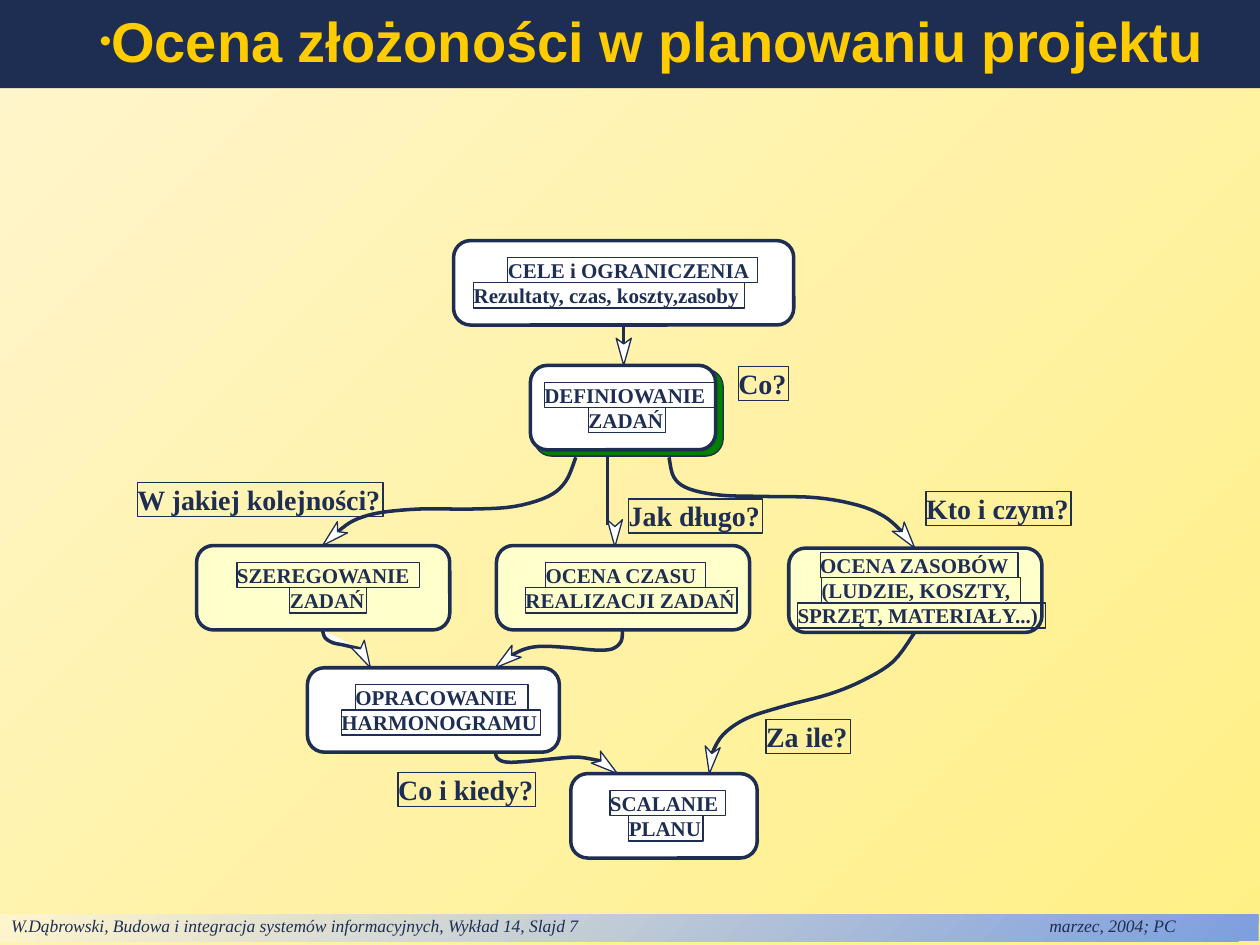
from dataclasses import dataclass
from math import hypot

from lxml import etree
from pptx import Presentation
from pptx import util as u
from pptx.dml.color import RGBColor
from pptx.enum import shapes, text
from pptx.oxml.ns import qn


@dataclass(frozen=True)
class Theme:
    navy: str = "1E2E53"
    gold: str = "FFCC00"
    white: str = "FFFFFF"
    cream: str = "FFFFCC"
    green: str = "007F00"
    background: tuple = ("FFF085", "FFF5CD")
    footer: tuple = ("7D9EDF", "FFF5CD")
    sans: str = "Arial"
    serif: str = "Times New Roman"
    title_size: int = 32
    question_size: int = 16
    step_size: int = 12
    footer_size: int = 10
    thick: float = 2
    thin: float = 0.75


THEME = Theme()

# The slide is a grid of 100 columns by 75 rows of square cells
COLUMNS, ROWS = 100, 75
CELL = u.Inches(0.1)
BOX_HEIGHT, LINE_HEIGHT, QUESTION_HEIGHT = 6.7, 2, 2.7
LABEL_SLACK = 0.2  # keeps each label on one line

# Steps: left, top, width, fill, lines of (text, left, width)
STEPS = [
    (36, 19.1, 27, THEME.white, [("CELE i OGRANICZENIA", 40.3, 19.6),
                                 ("Rezultaty, czas, koszty,zasoby", 37.6, 21.3)]),
    (42.1, 29, 14.7, THEME.white, [("DEFINIOWANIE", 43.2, 13.4), ("ZADAŃ", 46.7, 5.9)]),
    (15.6, 43.3, 20.1, THEME.cream, [("SZEREGOWANIE", 18.8, 14.3), ("ZADAŃ", 23, 5.9)]),
    (39.4, 43.3, 20.1, THEME.cream, [("OCENA CZASU", 43.3, 12.5),
                                     ("REALIZACJI ZADAŃ", 41.7, 16.6)]),
    (62.6, 43.5, 20.1, THEME.cream, [("OCENA ZASOBÓW", 65.1, 15.5),
                                     ("(LUDZIE, KOSZTY,", 65.2, 15.6),
                                     ("SPRZĘT, MATERIAŁY...)", 63.3, 19.5)]),
    (24.4, 53, 20, THEME.white, [("OPRACOWANIE", 28.2, 13.5), ("HARMONOGRAMU", 27.1, 15.6)]),
    (45.3, 61.4, 14.8, THEME.white, [("SCALANIE", 48.4, 9), ("PLANU", 49.9, 5.7)]),
]

# Questions: text, left, top, width
QUESTIONS = [
    ("Co?", 58.6, 29.1, 3.8),
    ("Jak długo?", 49.9, 39.6, 10.4),
    ("Kto i czym?", 73.5, 39, 11.3),
    ("Za ile?", 60.8, 57.1, 6.5),
    ("Co i kiedy?", 31.6, 61.3, 10.7),
    ("W jakiej kolejności?", 10.9, 38.3, 19.3),
]

# Curved flows: points on the curve, tip of the arrowhead, fill
FLOWS = [
    ([(49.4, 50), (49.3, 50.9), (48.6, 51.5), (47.3, 51.6), (45.1, 51.4), (43, 51.3),
      (41.7, 51.5), (40.6, 52)], (39.3, 53), None),
    ([(72.6, 50.2), (70.9, 52.5), (68.5, 54), (65.8, 55.1), (62.4, 56), (59.3, 57),
      (57.4, 58.3), (56.5, 59.8)], (56.3, 61.4), None),
    ([(39.3, 59.6), (39.5, 60.2), (40.3, 60.5), (42.2, 60.4), (44.2, 60.2),
      (45.9, 60.1), (47.7, 60.4)], (49, 61.4), None),
    ([(25.6, 50), (25.8, 50.6), (26.4, 51), (27.3, 51.2), (28.6, 51.5)],
     (29.4, 53), THEME.white),
    ([(53.1, 36.3), (53.5, 37.9), (54.7, 38.8), (57.2, 39.3), (60.5, 39.4),
      (64.8, 39.5), (68.1, 40.1), (70.2, 41), (71.6, 42.2)], (72.6, 43.5), None),
    ([(45.7, 36.3), (44.9, 38.2), (43.5, 39.4), (40.8, 40.2), (37.5, 40.4),
      (33.3, 40.4), (30.1, 40.7), (28.1, 41.3), (26.8, 42.2)], (25.6, 43.3), None),
]


def cells(*lengths):
    return [u.Emu(round(length * CELL)) for length in lengths]


def color(value):
    return RGBColor.from_string(value)


def paint(shape, fill=None, line=None, width=THEME.thick):
    shape.shadow.inherit = False
    if fill:
        shape.fill.solid()
        shape.fill.fore_color.rgb = color(fill)
    else:
        shape.fill.background()
    if line:
        shape.line.color.rgb = color(line)
        shape.line.width = u.Pt(width)
    else:
        shape.line.fill.background()


def gradient(fill, stops):
    fill.gradient()
    fill.gradient_angle = 135
    for stop, value in zip(fill.gradient_stops, stops):
        stop.color.rgb = color(value)


def write(shape, words, size, font, value, bold=False, italic=False):
    paragraph = shape.text_frame.paragraphs[0]
    paragraph.text = words
    paragraph.alignment = text.PP_ALIGN.LEFT
    for run in paragraph.runs:
        run.font.size, run.font.name = u.Pt(size), font
        run.font.bold, run.font.italic = bold, italic
        run.font.color.rgb = color(value)
    return paragraph


def set_margins(frame, left, top, right, bottom):
    frame.margin_left, frame.margin_top, frame.margin_right, frame.margin_bottom = cells(
        left, top, right, bottom)


def add_title(slide, words):
    title = slide.shapes.title
    title.left, title.top, title.width, title.height = cells(0, 0, COLUMNS, 7)
    paint(title, THEME.navy)
    frame = title.text_frame
    frame.auto_size = text.MSO_AUTO_SIZE.NONE
    frame.vertical_anchor = text.MSO_ANCHOR.MIDDLE
    set_margins(frame, 1, 0.5, 1, 0.5)
    paragraph = write(title, words, THEME.title_size, THEME.sans, THEME.gold, bold=True)
    paragraph.line_spacing = 0.9
    # Bullet
    properties = paragraph._p.get_or_add_pPr()
    margin, indent = cells(2.9, 4)
    properties.set("marL", str(margin))
    properties.set("indent", str(indent))
    bullet_color = etree.SubElement(properties, qn("a:buClr"))
    etree.SubElement(bullet_color, qn("a:srgbClr"), val=THEME.gold)
    etree.SubElement(properties, qn("a:buSzPct"), val="60000")
    etree.SubElement(properties, qn("a:buFont"), typeface=THEME.sans)
    etree.SubElement(properties, qn("a:buChar"), char="•")


def add_footer(slide, words):
    bar = slide.shapes.add_shape(shapes.MSO_SHAPE.RECTANGLE, *cells(-0.1, 72.6, COLUMNS, 2.1))
    paint(bar)
    gradient(bar.fill, THEME.footer)
    bar.text_frame.vertical_anchor = text.MSO_ANCHOR.TOP
    set_margins(bar.text_frame, 1, 0, 1, 0.4)
    paragraph = write(bar, words, THEME.footer_size, THEME.serif, THEME.navy, italic=True)
    tabs = etree.SubElement(paragraph._p.get_or_add_pPr(), qn("a:tabLst"))
    etree.SubElement(tabs, qn("a:tab"), pos=str(cells(82.4)[0]), algn="l")


def add_box(slide, left, top, width, fill, height=BOX_HEIGHT, line_width=THEME.thick):
    box = slide.shapes.add_shape(shapes.MSO_SHAPE.ROUNDED_RECTANGLE,
                                 *cells(left, top, width, height))
    box.adjustments[0] = 0.2
    paint(box, fill, THEME.navy, line_width)
    return box


def add_label(slide, words, left, top, width, height, size):
    label = slide.shapes.add_textbox(*cells(left, top, width + LABEL_SLACK, height))
    paint(label, None, THEME.navy, THEME.thin)
    label.text_frame.word_wrap = False
    set_margins(label.text_frame, 0, 0, 0, 0)
    write(label, words, size, THEME.serif, THEME.navy, bold=True)


def add_step(slide, left, top, width, fill, lines):
    box = add_box(slide, left, top, width, fill)
    first = top + (BOX_HEIGHT - len(lines) * LINE_HEIGHT) / 2
    for row, (words, line_left, line_width) in enumerate(lines):
        add_label(slide, words, line_left, first + row * LINE_HEIGHT, line_width,
                  LINE_HEIGHT, THEME.step_size)
    return box


def add_outline(slide, points, fill, width, close=False):
    start, *rest = [cells(*point) for point in points]
    builder = slide.shapes.build_freeform(*start)
    builder.add_line_segments(rest, close=close)
    paint(builder.convert_to_shape(), fill, THEME.navy, width)


def smooth_points(points, steps=5):
    """Catmull-Rom curve through the points."""
    padded = [points[0], *points, points[-1]]
    curve = [points[0]]
    for a, b, c, d in zip(padded, padded[1:], padded[2:], padded[3:]):
        for t in (step / steps for step in range(1, steps + 1)):
            curve.append(tuple(
                (2 * q + (r - p) * t + (2 * p - 5 * q + 4 * r - s) * t ** 2
                 + (3 * q - p - 3 * r + s) * t ** 3) / 2
                for p, q, r, s in zip(a, b, c, d)))
    return curve


def add_arrowhead(slide, notch, tip, length=2.15, half_width=0.6):
    x, y = notch[0] - tip[0], notch[1] - tip[1]
    x, y = x / hypot(x, y), y / hypot(x, y)
    wings = [(tip[0] + length * x - side * y, tip[1] + length * y + side * x)
             for side in (half_width, -half_width)]
    add_outline(slide, [tip, wings[0], notch, wings[1]], THEME.white, 0, close=True)


def add_straight_line(slide, start, end):
    line = slide.shapes.add_connector(shapes.MSO_CONNECTOR.STRAIGHT, *cells(*start, *end))
    line.line.color.rgb = color(THEME.navy)
    line.line.width = u.Pt(THEME.thick)
    etree.SubElement(line._element.spPr, qn("a:effectLst"))
    return line


def main():
    presentation = Presentation()
    presentation.slide_width, presentation.slide_height = cells(COLUMNS, ROWS)
    slide = presentation.slides.add_slide(presentation.slide_layouts[5])
    gradient(slide.background.fill, THEME.background)
    add_footer(slide, "W.Dąbrowski, Budowa i integracja systemów informacyjnych, "
                      "Wykład 14, Slajd 7\tmarzec, 2004; PC")
    add_title(slide, "Ocena złożoności w planowaniu projektu")

    # Flows lie behind the steps
    for points, tip, fill in FLOWS:
        add_outline(slide, smooth_points(points), fill, THEME.thick)
        add_arrowhead(slide, points[-1], tip)
    add_straight_line(slide, (48.2, 36.3), (48.2, 41.7))
    add_arrowhead(slide, (48.8, 41.8), (48.8, 43.4))
    goal_line = add_straight_line(slide, (49.5, 25.8), (49.5, 27.2))
    add_arrowhead(slide, (49.5, 27.3), (49.5, 29))

    # Steps, with a green shade behind the task definition
    add_box(slide, 42.4, 29.3, 15, THEME.green, 6.9, THEME.thin)
    boxes = [add_step(slide, *step) for step in STEPS]
    goal_line.begin_connect(boxes[0], 2)

    for words, left, top, width in QUESTIONS:
        add_label(slide, words, left, top, width, QUESTION_HEIGHT, THEME.question_size)
    presentation.save("out.pptx")


if __name__ == "__main__":
    main()
